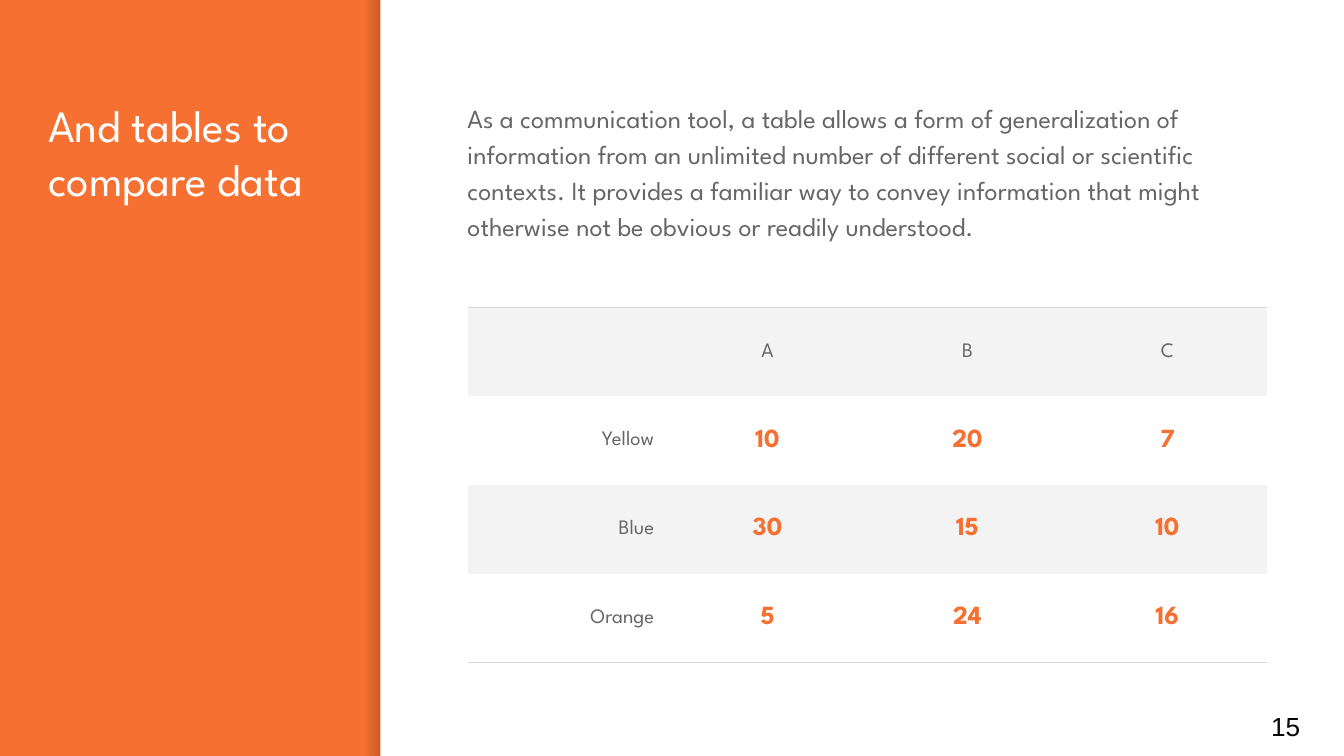
from lxml import etree
from pptx import Presentation
from pptx import util as u
from pptx.dml.color import RGBColor
from pptx.enum import shapes, text
from pptx.oxml import ns

HUES = {"orange": "F67031", "white": "FFFFFF", "black": "000000",
        "gray": "666666", "band": "F3F3F3", "rule": "D9D9D9"}
WIDE = 10
HIGH = WIDE * 9 / 16
FACE = "League Spartan"
BODY = ("As a communication tool, a table allows a form of generalization of "
        "information from an unlimited number of different social or scientific "
        "contexts. It provides a familiar way to convey information that might "
        "otherwise not be obvious or readily understood.")
ROWS = [["", "A", "B", "C"],
        ["Yellow", "10", "20", "7"],
        ["Blue", "30", "15", "10"],
        ["Orange", "5", "24", "16"]]
PLAIN = "{2D5ABB26-0587-4C30-8999-92F81FD0307C}"


def hue(name):
    """Return the named colour."""
    return RGBColor.from_string(HUES[name])


def inch(box):
    """Turn a box in inches into lengths."""
    return [u.Inches(n) for n in box]


def style(para, size, color, face=FACE, bold=False, align=text.PP_ALIGN.LEFT):
    """Set the font and alignment of a paragraph."""
    para.alignment = align
    font = para.font
    font.size, font.name, font.bold = u.Pt(size), face, bold
    font.color.rgb = hue(color)


def write(shape, words, anchor=text.MSO_ANCHOR.TOP):
    """Fill a text shape with one paragraph and return it."""
    frame = shape.text_frame
    frame.word_wrap = True
    frame.auto_size = text.MSO_AUTO_SIZE.NONE
    frame.vertical_anchor = anchor
    frame.margin_left = frame.margin_right = u.Inches(0.1)
    frame.margin_top = frame.margin_bottom = u.Inches(0.1)
    frame.text = words
    return frame.paragraphs[0]


def add_rect(slide, box):
    """Add a rectangle with no line or shadow."""
    rect = slide.shapes.add_shape(shapes.MSO_SHAPE.RECTANGLE, *inch(box))
    rect.shadow.inherit = False
    rect.line.fill.background()
    return rect


def add_panel(slide, box):
    """Add the white panel with a soft shade along its left edge."""
    left, top, width, height = box
    shade = add_rect(slide, (left - 0.12, top, 0.12, height))
    shade.fill.gradient()
    shade.fill.gradient_angle = 0
    for stop in shade.fill.gradient_stops:
        stop.color.rgb = hue("black")
    tints = shade._element.spPr.iter(ns.qn("a:srgbClr"))
    for tint, alpha in zip(tints, (0, 20000)):
        etree.SubElement(tint, ns.qn("a:alpha"), val=str(alpha))
    panel = add_rect(slide, box)
    panel.fill.solid()
    panel.fill.fore_color.rgb = hue("white")


def add_title(slide, box, words):
    """Place the title in the orange column."""
    title = slide.shapes.title
    title.left, title.top, title.width, title.height = inch(box)
    style(write(title, words), 24, "white")


def add_body(slide, box, words):
    """Add the introductory paragraph."""
    para = write(slide.shapes.add_textbox(*inch(box)), words)
    para.line_spacing = 1.15
    style(para, 14, "gray")


def add_edge(cell, side):
    """Draw a thin rule on one side of a cell."""
    line = etree.Element(ns.qn(f"a:{side}"), w=str(u.Pt(0.75)))
    fill = etree.SubElement(line, ns.qn("a:solidFill"))
    etree.SubElement(fill, ns.qn("a:srgbClr"), val=HUES["rule"])
    cell._tc.get_or_add_tcPr().insert(0, line)


def add_grid(slide, box, rows):
    """Add the table with banded rows and outer rules."""
    frame = slide.shapes.add_table(len(rows), len(rows[0]), *inch(box))
    table = frame.table
    table.first_row = table.horz_banding = False
    table._tbl.tblPr.find(ns.qn("a:tableStyleId")).text = PLAIN
    for r, row in enumerate(rows):
        for c, words in enumerate(row):
            cell = table.cell(r, c)
            cell.text = words
            cell.vertical_anchor = text.MSO_ANCHOR.MIDDLE
            cell.margin_left = cell.margin_right = u.Inches(0.1)
            cell.margin_top = cell.margin_bottom = u.Inches(0.07)
            para = cell.text_frame.paragraphs[0]
            align = text.PP_ALIGN.CENTER if c else text.PP_ALIGN.RIGHT
            if r and c:
                style(para, 14, "orange", bold=True, align=align)
            else:
                style(para, 11, "gray", align=align)
            if r % 2:
                cell.fill.background()
            else:
                cell.fill.solid()
                cell.fill.fore_color.rgb = hue("band")
            if r == 0:
                add_edge(cell, "lnT")
            if r == len(rows) - 1:
                add_edge(cell, "lnB")


def add_page(slide, box, words):
    """Add the page number."""
    para = write(slide.shapes.add_textbox(*inch(box)), words,
                 text.MSO_ANCHOR.MIDDLE)
    style(para, 14, "black", face="Arial")


def main():
    """Build and save the slide."""
    deck = Presentation()
    deck.slide_width, deck.slide_height = inch((WIDE, HIGH))
    slide = deck.slides.add_slide(deck.slide_layouts[5])
    slide.background.fill.solid()
    slide.background.fill.fore_color.rgb = hue("orange")
    add_panel(slide, (2.83, 0, WIDE - 2.83, HIGH))
    add_title(slide, (0.26, 0.63, 2.24, 4.35), "And tables to compare data")
    add_grid(slide, (3.48, 2.29, 5.95, 2.64), ROWS)
    add_page(slide, (9.36, 5.19, 0.6, 0.43), "15")
    add_body(slide, (3.38, 0.63, 6.12, 1.16), BODY)
    deck.save("out.pptx")


if __name__ == "__main__":
    main()
